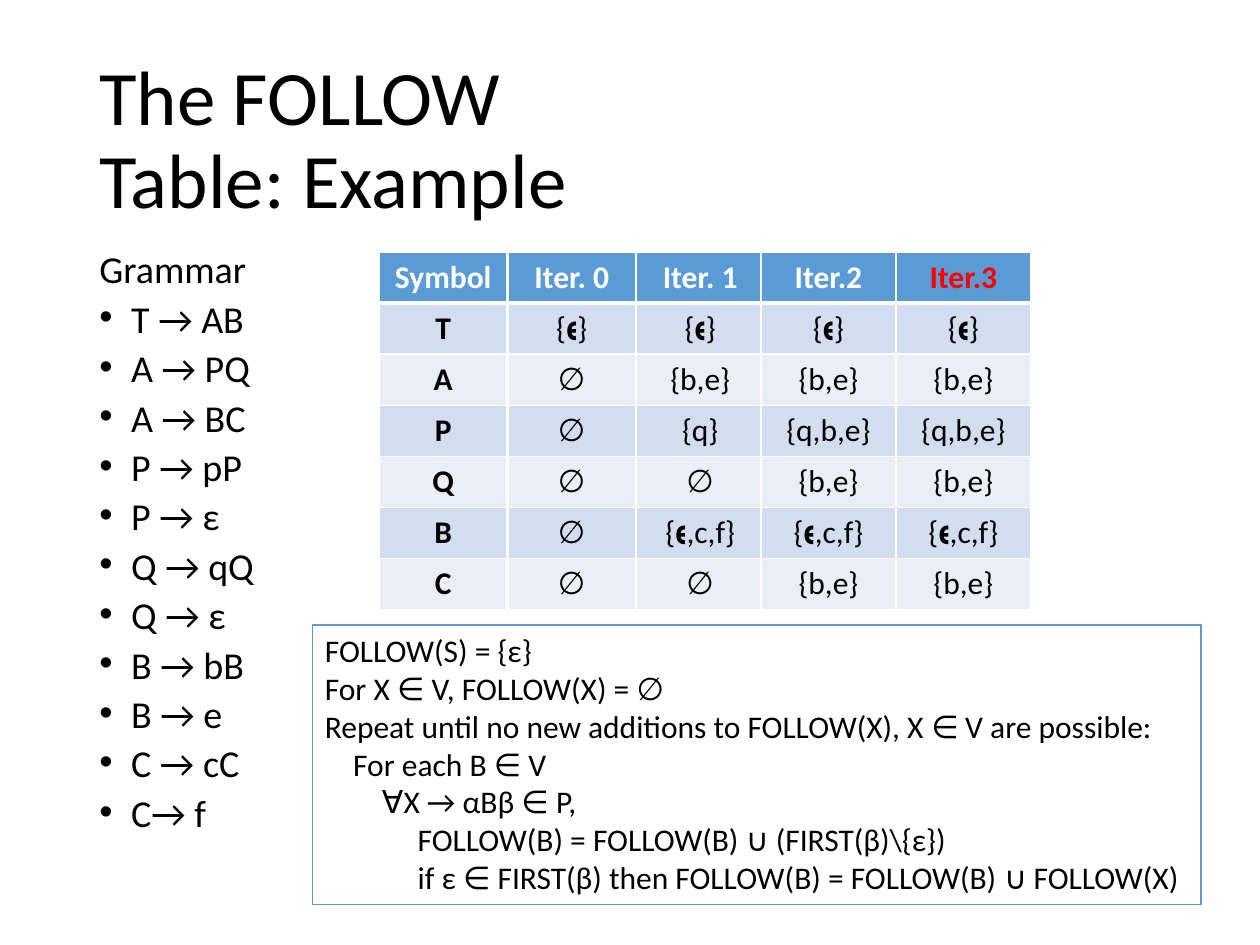
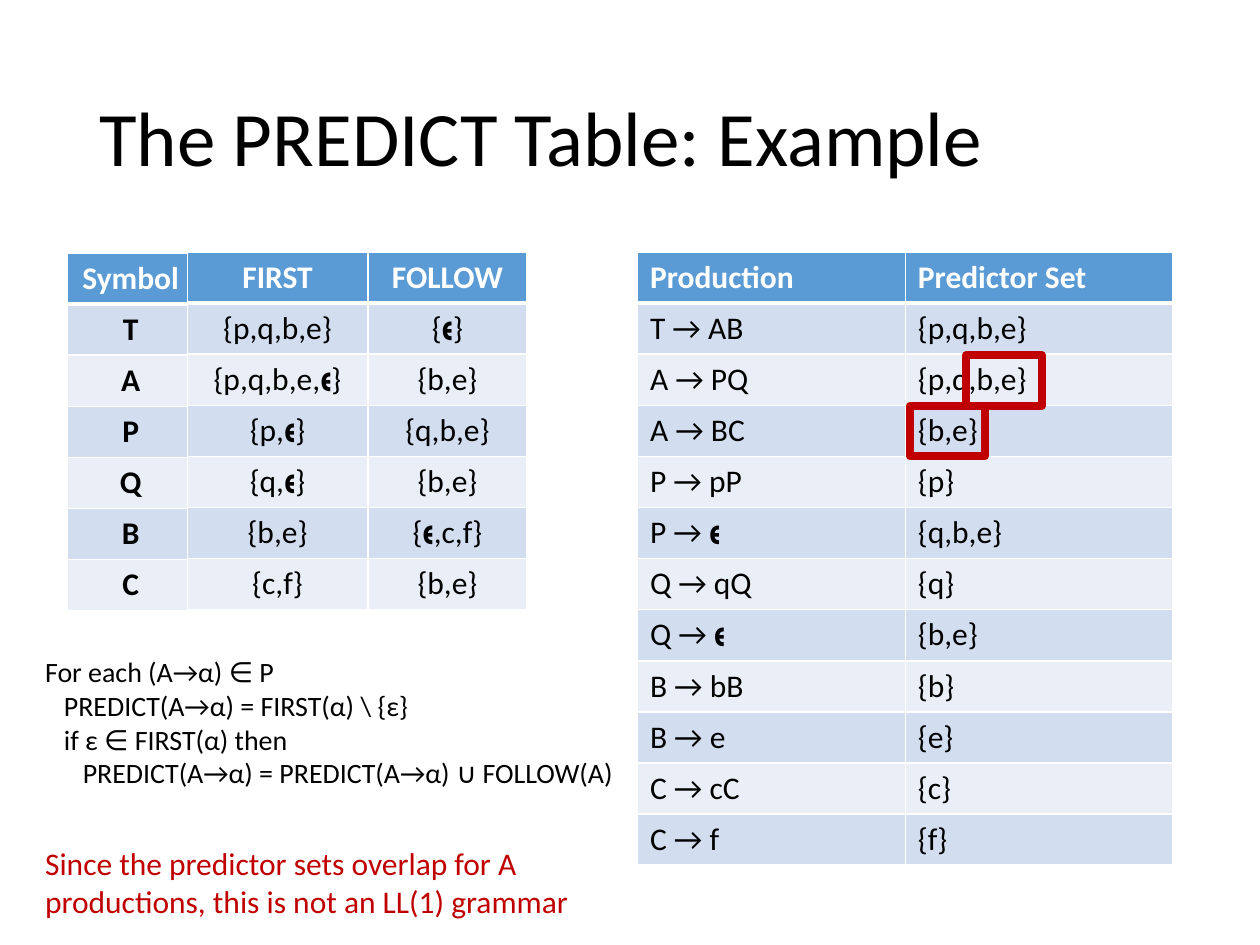
from dataclasses import dataclass

import pptx
import pptx.dml.color
import pptx.enum.shapes
import pptx.enum.text
import pptx.oxml
import pptx.oxml.ns
import pptx.util
from lxml import etree

Cm = pptx.util.Cm
Pt = pptx.util.Pt
Align = pptx.enum.text.PP_ALIGN
Anchor = pptx.enum.text.MSO_ANCHOR


# Shared look
@dataclass(frozen=True)
class Theme:
    font: str = "Calibri"
    black: str = "000000"
    white: str = "FFFFFF"
    blue: str = "5B9BD5"
    bands: tuple[str, str] = ("D2DEEF", "EAEFF7")
    dark_red: str = "C00000"
    bright_red: str = "FF0000"
    title_size: float = 44
    list_size: float = 21.7
    text_size: float = 18
    small_size: float = 16


THEME = Theme()
ROW_HEIGHT = 1.03
TABLE_TOP = 5.08


@dataclass(frozen=True)
class Area:
    """Left, top, width and height in centimetres."""
    left: float
    top: float
    width: float
    height: float

    def lengths(self) -> tuple:
        return Cm(self.left), Cm(self.top), Cm(self.width), Cm(self.height)


@dataclass(frozen=True)
class Grid:
    left: float
    column_width: float
    rows: list[tuple[str, ...]]
    top: float = TABLE_TOP
    header_color: str = THEME.white
    bold_body: bool = False
    align: Align = Align.CENTER


@dataclass(frozen=True)
class CodeLine:
    text: str
    indent: float = 0


def column(text: str) -> list[tuple[str, ...]]:
    """Turn a header and its entries into one-column rows."""
    return [(entry,) for entry in text.split()]


# Text
def rgb(color: str) -> pptx.dml.color.RGBColor:
    return pptx.dml.color.RGBColor.from_string(color)


def write(para, text: str, *, size: float = THEME.text_size, color: str = THEME.black,
          bold: bool = False, align: Align = Align.LEFT, indent: float = 0,
          hanging: float = 0, line_spacing: float | None = None,
          before: float | None = None) -> None:
    span = para.add_run()
    span.text = text
    span.font.name = THEME.font
    span.font.size = Pt(size)
    span.font.bold = bold
    span.font.color.rgb = rgb(color)
    para.alignment = align
    if line_spacing is not None:
        para.line_spacing = line_spacing
    if before is not None:
        para.space_before = Pt(before)
    properties = para._p.get_or_add_pPr()
    properties.set("marL", str(Cm(indent)))
    properties.set("indent", str(-Cm(hanging)))


def set_bullet(para, symbol: str | None) -> None:
    properties = para._p.get_or_add_pPr()
    if symbol is None:
        etree.SubElement(properties, pptx.oxml.ns.qn("a:buNone"))
        return
    etree.SubElement(properties, pptx.oxml.ns.qn("a:buFont"), typeface="Arial")
    etree.SubElement(properties, pptx.oxml.ns.qn("a:buChar"), char=symbol)


def next_paragraph(frame, index: int):
    return frame.paragraphs[0] if index == 0 else frame.add_paragraph()


def prepare_frame(frame, anchor: Anchor = Anchor.TOP) -> None:
    frame.word_wrap = True
    frame.auto_size = pptx.enum.text.MSO_AUTO_SIZE.NONE
    frame.vertical_anchor = anchor


def place(shape, area: Area) -> None:
    shape.left, shape.top, shape.width, shape.height = area.lengths()


# Slide parts
def add_page(deck, layout: int, title: str, title_width: float):
    page = deck.slides.add_slide(deck.slide_layouts[layout])
    box = page.shapes.title
    place(box, Area(1.75, 1.02, title_width, 3.68))
    prepare_frame(box.text_frame, Anchor.MIDDLE)
    write(box.text_frame.paragraphs[0], title, size=THEME.title_size, line_spacing=0.9)
    return page


def fill_list(box, heading: str, items: list[str], area: Area) -> None:
    place(box, area)
    prepare_frame(box.text_frame)
    for index, text in enumerate([heading, *items]):
        para = next_paragraph(box.text_frame, index)
        step = 0.64 if index else 0
        write(para, text, size=THEME.list_size, indent=step, hanging=step,
              line_spacing=0.7, before=10)
        set_bullet(para, "•" if index else None)


def write_lines(box, lines: list[CodeLine], *, size: float = THEME.text_size,
                color: str = THEME.black) -> None:
    prepare_frame(box.text_frame)
    for index, line in enumerate(lines):
        write(next_paragraph(box.text_frame, index), line.text, size=size,
              color=color, indent=line.indent)


def add_frame(page, area: Area, color: str, line_width: float):
    box = page.shapes.add_shape(pptx.enum.shapes.MSO_SHAPE.RECTANGLE, *area.lengths())
    box.shadow.inherit = False
    box.fill.background()
    box.line.color.rgb = rgb(color)
    box.line.width = Pt(line_width)
    return box


def set_borders(cell, top: float, bottom: float) -> None:
    properties = cell._tc.get_or_add_tcPr()
    for side, width in (("L", 1), ("R", 1), ("T", top), ("B", bottom)):
        line = etree.SubElement(properties, pptx.oxml.ns.qn(f"a:ln{side}"), w=str(Pt(width)))
        fill = etree.SubElement(line, pptx.oxml.ns.qn("a:solidFill"))
        etree.SubElement(fill, pptx.oxml.ns.qn("a:srgbClr"), val=THEME.white)


def add_grid(page, grid: Grid) -> None:
    row_count, column_count = len(grid.rows), len(grid.rows[0])
    area = Area(grid.left, grid.top, grid.column_width * column_count, ROW_HEIGHT * row_count)
    table = page.shapes.add_table(row_count, column_count, *area.lengths()).table
    for table_column in table.columns:
        table_column.width = Cm(grid.column_width)
    for row_index, entries in enumerate(grid.rows):
        table.rows[row_index].height = Cm(ROW_HEIGHT)
        header = row_index == 0
        for column_index, text in enumerate(entries):
            cell = table.cell(row_index, column_index)
            set_borders(cell, top=3 if row_index == 1 else 1, bottom=3 if header else 1)
            cell.fill.solid()
            cell.fill.fore_color.rgb = rgb(
                THEME.blue if header else THEME.bands[(row_index - 1) % 2])
            write(cell.text_frame.paragraphs[0], text, align=grid.align,
                  bold=header or grid.bold_body,
                  color=grid.header_color if header else THEME.black)


# Content
SYMBOLS = column("Symbol T A P Q B C")
GRAMMAR = ["T → AB", "A → PQ", "A → BC", "P → pP", "P → ε", "Q → qQ", "Q → ε",
           "B → bB", "B → e", "C → cC", "C→ f"]
FOLLOW_SETS = " {𝛜} {b,e} {q,b,e} {b,e} {𝛜,c,f} {b,e}"
ITERATIONS = [
    Grid(7.65, 2.57, SYMBOLS, bold_body=True),
    Grid(10.24, 2.57, [("Iter. 0",), *column("{𝛜} ∅ ∅ ∅ ∅ ∅")]),
    Grid(12.83, 2.57, [("Iter. 1",), *column("{𝛜} {b,e} {q} ∅ {𝛜,c,f} ∅")]),
    Grid(15.34, 2.72, column("Iter.2" + FOLLOW_SETS)),
    Grid(18.06, 2.72, column("Iter.3" + FOLLOW_SETS), header_color=THEME.bright_red),
]
FOLLOW_RULES = [
    CodeLine("FOLLOW(S) = {ε}"),
    CodeLine("For X ∈ V, FOLLOW(X) = ∅"),
    CodeLine("Repeat until no new additions to FOLLOW(X), X ∈ V are possible:"),
    CodeLine("For each B ∈ V", 0.57),
    CodeLine("∀X → αBβ ∈ P,", 1.15),
    CodeLine("FOLLOW(B) = FOLLOW(B) ∪ (FIRST(β)\\{ε})", 1.87),
    CodeLine("if ε ∈ FIRST(β) then FOLLOW(B) = FOLLOW(B) ∪ FOLLOW(X)", 1.87),
]
PREDICTORS = [
    ("Production", "Predictor Set"),
    ("T → AB", "{p,q,b,e}"),
    ("A → PQ", "{p,q,b,e}"),
    ("A → BC", "{b,e}"),
    ("P → pP", "{p}"),
    ("P → 𝛜", "{q,b,e}"),
    ("Q → qQ", "{q}"),
    ("Q → 𝛜", "{b,e}"),
    ("B → bB", "{b}"),
    ("B → e", "{e}"),
    ("C → cC", "{c}"),
    ("C → f", "{f}"),
]
PREDICT_GRIDS = [
    Grid(12.85, 5.4, PREDICTORS, align=Align.LEFT),
    Grid(1.35, 2.57, SYMBOLS, top=5.1, bold_body=True),
    Grid(3.78, 3.63, column("FIRST {p,q,b,e} {p,q,b,e,𝛜} {p,𝛜} {q,𝛜} {b,e} {c,f}")),
    Grid(7.42, 3.2, column("FOLLOW" + FOLLOW_SETS)),
]
PREDICT_RULES = [
    CodeLine("For each (A→α) ∈ P"),
    CodeLine("PREDICT(A→α) = FIRST(α) \\ {ε}", 0.38),
    CodeLine("if ε ∈ FIRST(α) then", 0.38),
    CodeLine("PREDICT(A→α) = PREDICT(A→α) ∪ FOLLOW(A)", 0.76),
]
CONCLUSION = "Since the predictor sets overlap for A productions, this is not an LL(1) grammar"


# Slides
def build_follow_page(deck) -> None:
    page = add_page(deck, 1, "The FOLLOW Table: Example", 12.65)
    fill_list(page.placeholders[1], "Grammar", GRAMMAR, Area(1.75, 5.08, 10.8, 12.09))
    for grid in ITERATIONS:
        add_grid(page, grid)
    rules = add_frame(page, Area(6.3, 12.6, 17.91, 5.64), THEME.blue, 0.75)
    write_lines(rules, FOLLOW_RULES)


def build_predict_page(deck) -> None:
    page = add_page(deck, 5, "The PREDICT Table: Example", 21.9)
    for grid in PREDICT_GRIDS:
        add_grid(page, grid)
    # Frames around the overlapping predictors
    for left, top in ((18.34, 8.18), (19.48, 7.16)):
        add_frame(page, Area(left, top, 1.52, 1.02), THEME.dark_red, 4.5)
    conclusion = page.shapes.add_textbox(*Area(0.66, 16.89, 11.81, 1.8).lengths())
    write_lines(conclusion, [CodeLine(CONCLUSION)], color=THEME.dark_red)
    rules = page.shapes.add_textbox(*Area(0.66, 13.08, 13.28, 3).lengths())
    write_lines(rules, PREDICT_RULES, size=THEME.small_size)


def main() -> None:
    deck = pptx.Presentation()
    deck.slide_width, deck.slide_height = Cm(25.4), Cm(19.05)
    build_follow_page(deck)
    build_predict_page(deck)
    deck.save("out.pptx")


if __name__ == "__main__":
    main()
